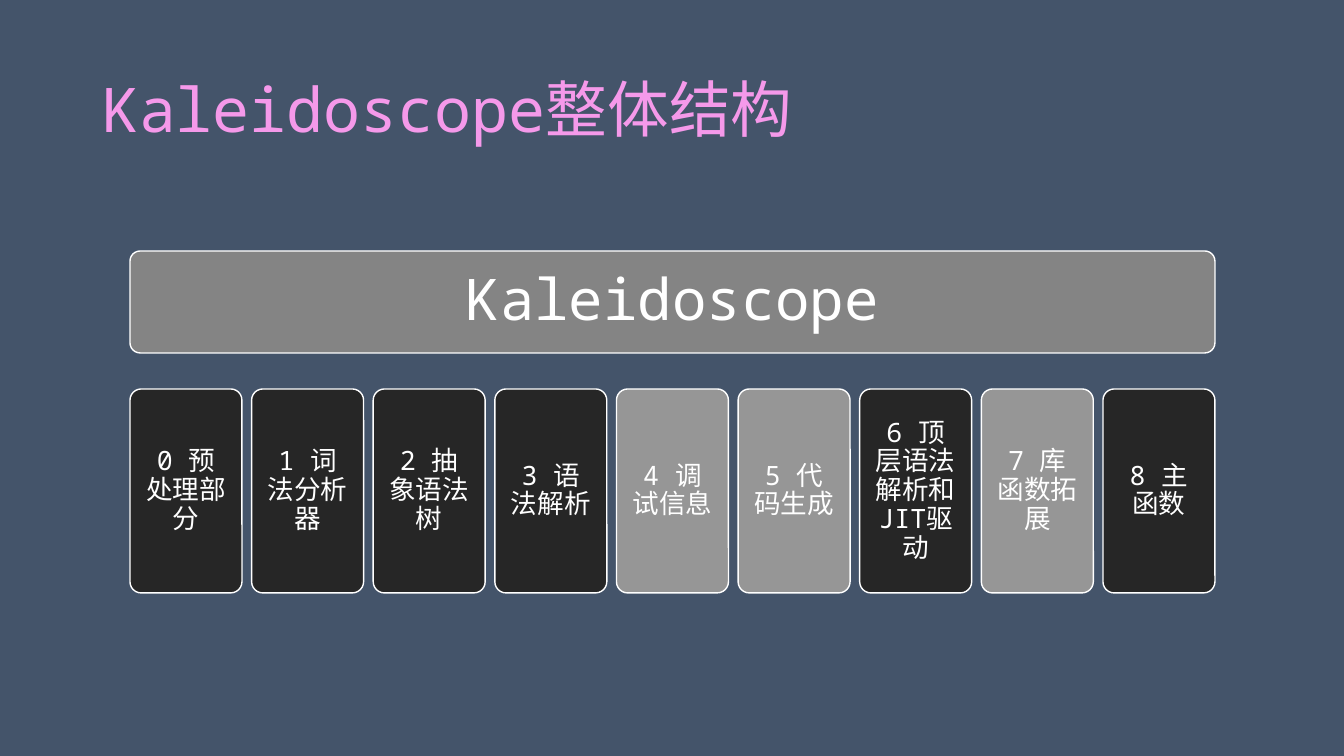
from dataclasses import dataclass
from pptx import Presentation
from pptx.dml.color import RGBColor as RGB
from pptx.enum.shapes import MSO_SHAPE as SHAPE
from pptx.enum.text import MSO_ANCHOR as ANCHOR, PP_ALIGN as ALIGN
from pptx.oxml.ns import qn
from pptx.util import Pt

TITLE = "Kaleidoscope整体结构"
ROOT = "Kaleidoscope"
PARTS = [
    ("0 预处理部分", "dark"),
    ("1 词法分析器", "dark"),
    ("2 抽象语法树", "dark"),
    ("3 语法解析", "dark"),
    ("4 调试信息", "light"),
    ("5 代码生成", "light"),
    ("6 顶层语法解析和JIT驱动", "dark"),
    ("7 库函数拓展", "light"),
    ("8 主函数", "dark"),
]


@dataclass(frozen=True)
class Theme:
    font: str = "Noto Sans Mono"
    background: str = "44546A"
    title_start: str = "F599EA"
    title_end: str = "89D1EB"
    white: str = "FFFFFF"
    root: str = "848484"
    dark: str = "262626"
    light: str = "969696"
    title_size: int = 44
    root_size: int = 41
    part_size: int = 19


theme = Theme()
LEFT, WIDTH = 130, 1085
ROOT_TOP, ROOT_HEIGHT, ROOT_INSET = 251, 102, 20
PART_TOP, PART_WIDTH, PART_HEIGHT, PART_INSET = 389, 112, 204, 11
PITCH = (WIDTH - PART_WIDTH) / (len(PARTS) - 1)


def px(n):
    return round(n * 914400 / 100.8)


def color(name):
    return RGB.from_string(getattr(theme, name))


def write(tf, text, size):
    tf.text = text
    tf.word_wrap = True
    tf.vertical_anchor = ANCHOR.MIDDLE
    p = tf.paragraphs[0]
    p.line_spacing = 0.9
    font = p.runs[0].font
    font.size = Pt(size)
    font.name = theme.font
    return p


def set_east_asian(font):
    ea = font._element.makeelement(qn("a:ea"), {"typeface": theme.font})
    font._element.find(qn("a:latin")).addnext(ea)


def add_box(s, box, fill, text, size, inset):
    sp = s.shapes.add_shape(SHAPE.ROUNDED_RECTANGLE, *map(px, box))
    sp.adjustments[0] = 0.1
    sp.shadow.inherit = False
    sp.fill.solid()
    sp.fill.fore_color.rgb = color(fill)
    sp.line.color.rgb = color("white")
    sp.line.width = Pt(1)
    tf = sp.text_frame
    tf.margin_left = tf.margin_right = px(inset)
    tf.margin_top = tf.margin_bottom = px(inset)
    p = write(tf, text, size)
    p.alignment = ALIGN.CENTER
    font = p.runs[0].font
    font.color.rgb = color("white")
    set_east_asian(font)


prs = Presentation()
prs.slide_width, prs.slide_height = px(1344), px(756)
s = prs.slides.add_slide(prs.slide_layouts[5])
s.background.fill.solid()
s.background.fill.fore_color.rgb = color("background")

title = s.shapes.title
title.left, title.top, title.width, title.height = map(px, (92, 40, 1159, 146))
p = write(title.text_frame, TITLE, theme.title_size)
p.alignment = ALIGN.LEFT
font = p.runs[0].font
font.fill.gradient()
font.fill.gradient_angle = 290
for stop, name in zip(font.fill.gradient_stops, ("title_start", "title_end")):
    stop.color.rgb = color(name)
set_east_asian(font)

add_box(s, (LEFT, ROOT_TOP, WIDTH, ROOT_HEIGHT), "root", ROOT,
        theme.root_size, ROOT_INSET)
for i, (text, fill) in enumerate(PARTS):
    add_box(s, (LEFT + i * PITCH, PART_TOP, PART_WIDTH, PART_HEIGHT), fill,
            text, theme.part_size, PART_INSET)

prs.save("out.pptx")
